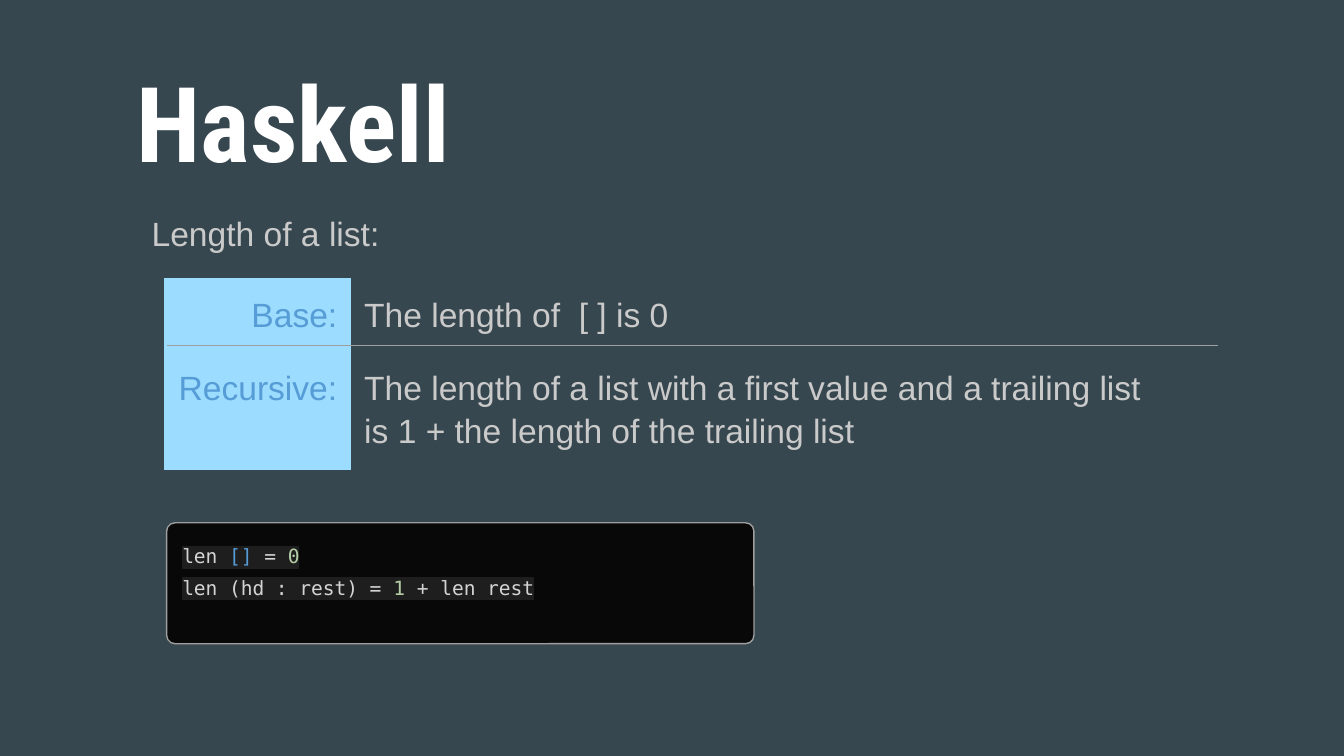
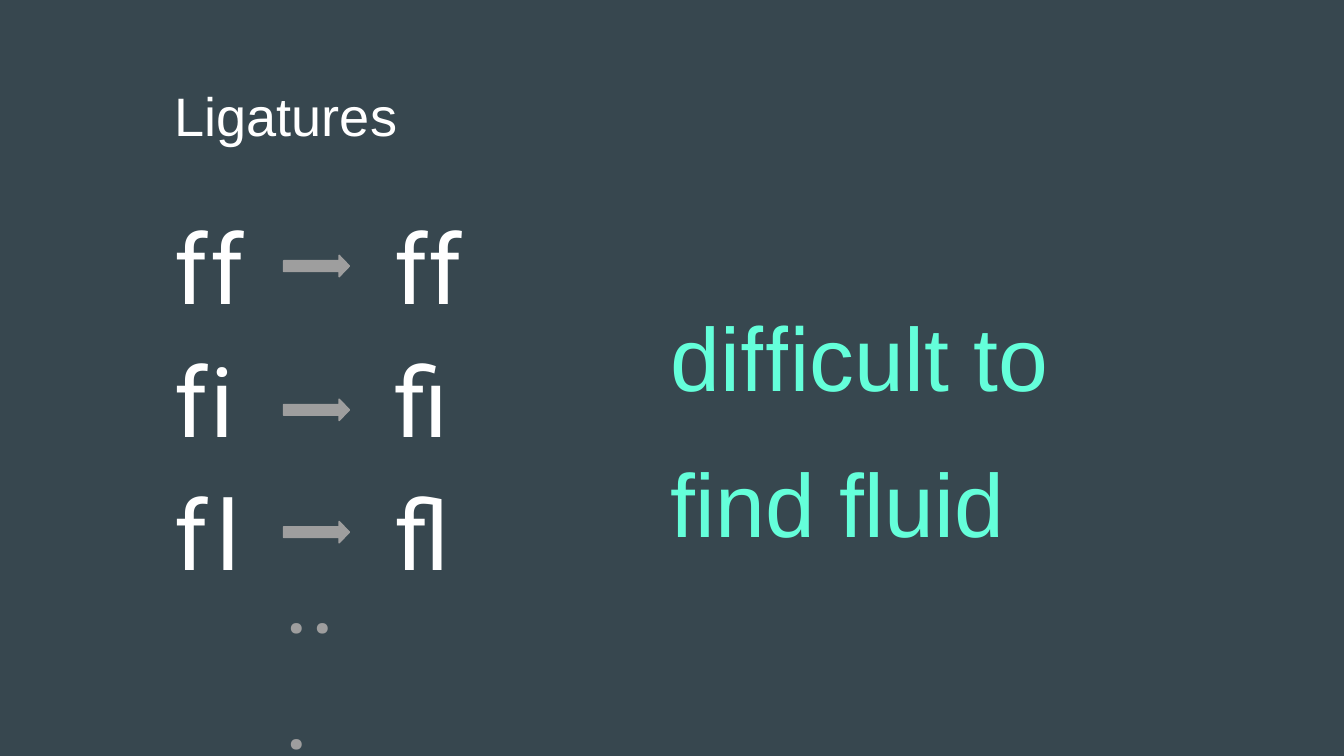
"""Build two slides: list length in Haskell, and typographic ligatures."""
import lxml.etree
import pptx
import pptx.dml.color
import pptx.enum.shapes
import pptx.enum.text
import pptx.oxml.ns
import pptx.util

Inches = pptx.util.Inches
Pt = pptx.util.Pt
RGBColor = pptx.dml.color.RGBColor
qn = pptx.oxml.ns.qn
Shape = pptx.enum.shapes.MSO_SHAPE
Align = pptx.enum.text.PP_ALIGN

SLATE = RGBColor(0x37, 0x47, 0x4F)
WHITE = RGBColor(0xFF, 0xFF, 0xFF)
GRAY = RGBColor(0x9E, 0x9E, 0x9E)
SILVER = RGBColor(0xCA, 0xCA, 0xCA)
MINT = RGBColor(0x64, 0xFF, 0xDA)
SKY = RGBColor(0x9C, 0xDC, 0xFE)
BLUE = RGBColor(0x56, 0x9C, 0xD6)
CODE_TEXT = RGBColor(0xD4, 0xD4, 0xD4)
CODE_NUMBER = RGBColor(0xB5, 0xCE, 0xA8)
CODE_BACK = RGBColor(0x08, 0x08, 0x08)
CODE_MARK = RGBColor(0x1E, 0x1E, 0x1E)
PLAIN_TABLE = "{2D5ABB26-0587-4C30-8999-92F81FD0307C}"


def write(para, spans, font, spacing=None, after=None, align=Align.LEFT):
    """Fill a paragraph with (text, size, colour) spans."""
    para.alignment = align
    para.line_spacing = spacing
    para.space_after = after
    for text, size, color in spans:
        for index, line in enumerate(text.split("\n")):
            if index:
                para.add_line_break()
            span = para.add_run()
            span.text = line
            span.font.name = font
            span.font.size = Pt(size)
            span.font.color.rgb = color


def add_text(page, left, top, width, height, spans, font, spacing=None, after=None, grow=True):
    """Add a wrapping text box with one paragraph and return the paragraph."""
    box = page.shapes.add_textbox(Inches(left), Inches(top), Inches(width), Inches(height))
    frame = box.text_frame
    frame.word_wrap = True
    frame.margin_left = frame.margin_right = frame.margin_top = frame.margin_bottom = Inches(0.1)
    if grow:
        frame.auto_size = pptx.enum.text.MSO_AUTO_SIZE.SHAPE_TO_FIT_TEXT
    write(frame.paragraphs[0], spans, font, spacing, after)
    return frame.paragraphs[0]


deck = pptx.Presentation()
deck.slide_width = Inches(10)
deck.slide_height = Inches(10) * 9 // 16
pages = [deck.slides.add_slide(deck.slide_layouts[6]) for _ in range(2)]
for page in pages:
    page.background.fill.solid()
    page.background.fill.fore_color.rgb = SLATE
haskell, ligatures = pages

title = add_text(haskell, 0.92, 0.33, 4.46, 1.14, [("Haskell", 56, WHITE)], "Roboto Condensed")
title.runs[0].font.bold = True

code = haskell.shapes.add_shape(
    Shape.ROUNDED_RECTANGLE, Inches(1.24), Inches(3.89), Inches(4.37), Inches(0.9))
code.adjustments[0] = 0.07
code.shadow.inherit = False
code.fill.solid()
code.fill.fore_color.rgb = CODE_BACK
code.line.color.rgb = GRAY
code.line.width = Pt(0.75)
frame = code.text_frame
frame.word_wrap = True
frame.vertical_anchor = pptx.enum.text.MSO_ANCHOR.MIDDLE
frame.margin_left = frame.margin_right = frame.margin_top = Inches(0.1)
frame.margin_bottom = Inches(0.33)
code_lines = [
    [("len ", CODE_TEXT), ("[]", BLUE), (" = ", CODE_TEXT), ("0", CODE_NUMBER)],
    [("len (hd : rest) = ", CODE_TEXT), ("1", CODE_NUMBER), (" + len rest", CODE_TEXT)],
]
for index, tokens in enumerate(code_lines):
    para = frame.add_paragraph() if index else frame.paragraphs[0]
    write(para, [(text, 10.5, color) for text, color in tokens], "DejaVu Sans Mono", 1.35)
    for span in para.runs:
        mark = lxml.etree.Element(qn("a:highlight"))
        lxml.etree.SubElement(mark, qn("a:srgbClr")).set("val", str(CODE_MARK))
        span.font._element.find(qn("a:solidFill")).addnext(mark)

add_text(haskell, 1.03, 1.47, 6.83, 1.18, [("Length of a list:", 18, SILVER)],
         "Arial", 1.05, Pt(12), grow=False)

cases = [
    ("Base:", "The length of  [ ] is 0"),
    ("Recursive:", "The length of a list with a first value and a trailing list \n"
                   "is 1 + the length of the trailing list"),
]
holder = haskell.shapes.add_table(
    len(cases), 2, Inches(1.22), Inches(2.07), Inches(7.92), Inches(0.84))
table = holder.table
table.first_row = table.horz_banding = False
table._tbl.tblPr.find(qn("a:tableStyleId")).text = PLAIN_TABLE
table.columns[0].width = Inches(1.39)
table.columns[1].width = Inches(6.53)
for row, texts in enumerate(cases):
    for column, (text, color, align) in enumerate(
            zip(texts, (BLUE, SILVER), (Align.RIGHT, Align.LEFT))):
        cell = table.cell(row, column)
        cell.margin_left = cell.margin_right = cell.margin_top = cell.margin_bottom = Inches(0.1)
        write(cell.text_frame.paragraphs[0], [(text, 18, color)], "Arial", 1.14, Pt(12), align)
        if column == 0:
            cell.fill.solid()
            cell.fill.fore_color.rgb = SKY
        else:
            cell.fill.background()

divider = haskell.shapes.add_connector(
    pptx.enum.shapes.MSO_CONNECTOR.STRAIGHT, Inches(1.24), Inches(2.57), Inches(9.06), Inches(2.57))
divider.line.color.rgb = GRAY
divider.line.width = Pt(0.75)
lxml.etree.SubElement(divider._element.spPr, qn("a:effectLst"))

add_text(ligatures, 1.2, 0.51, 6.93, 0.69, [("Ligatures", 29, WHITE)], "Arial")
add_text(ligatures, 4.89, 1.87, 3.89, 2.11, [("diﬃcult to ﬁnd ﬂuid", 48, MINT)], "Arial", 1.35)

pairs = [("f", 6, 0.96, 1.9), ("i", 6, 0.73, 2.97), ("l", 18, 0.73, 3.88)]
for row, (letter, gap_size, width, arrow_top) in enumerate(pairs):
    top = 1.44 + 0.99 * row
    apart = [("f", 52, WHITE), (" ", gap_size, WHITE), (letter, 52, WHITE)]
    add_text(ligatures, 1.2, top, width, 1.08, apart, "Roboto")
    add_text(ligatures, 2.84, top, 0.73, 1.08, [("f" + letter, 52, WHITE)], "Roboto")
    arrow = ligatures.shapes.add_shape(
        Shape.RIGHT_ARROW, Inches(2.11), Inches(arrow_top), Inches(0.49), Inches(0.16))
    arrow.adjustments[1] = 0.48
    arrow.shadow.inherit = False
    arrow.fill.solid()
    arrow.fill.fore_color.rgb = GRAY
    arrow.line.color.rgb = GRAY
    arrow.line.width = Pt(0.75)

add_text(ligatures, 2.02, 3.89, 0.73, 1.08, [("...", 52, GRAY)], "Roboto")

deck.save("out.pptx")
